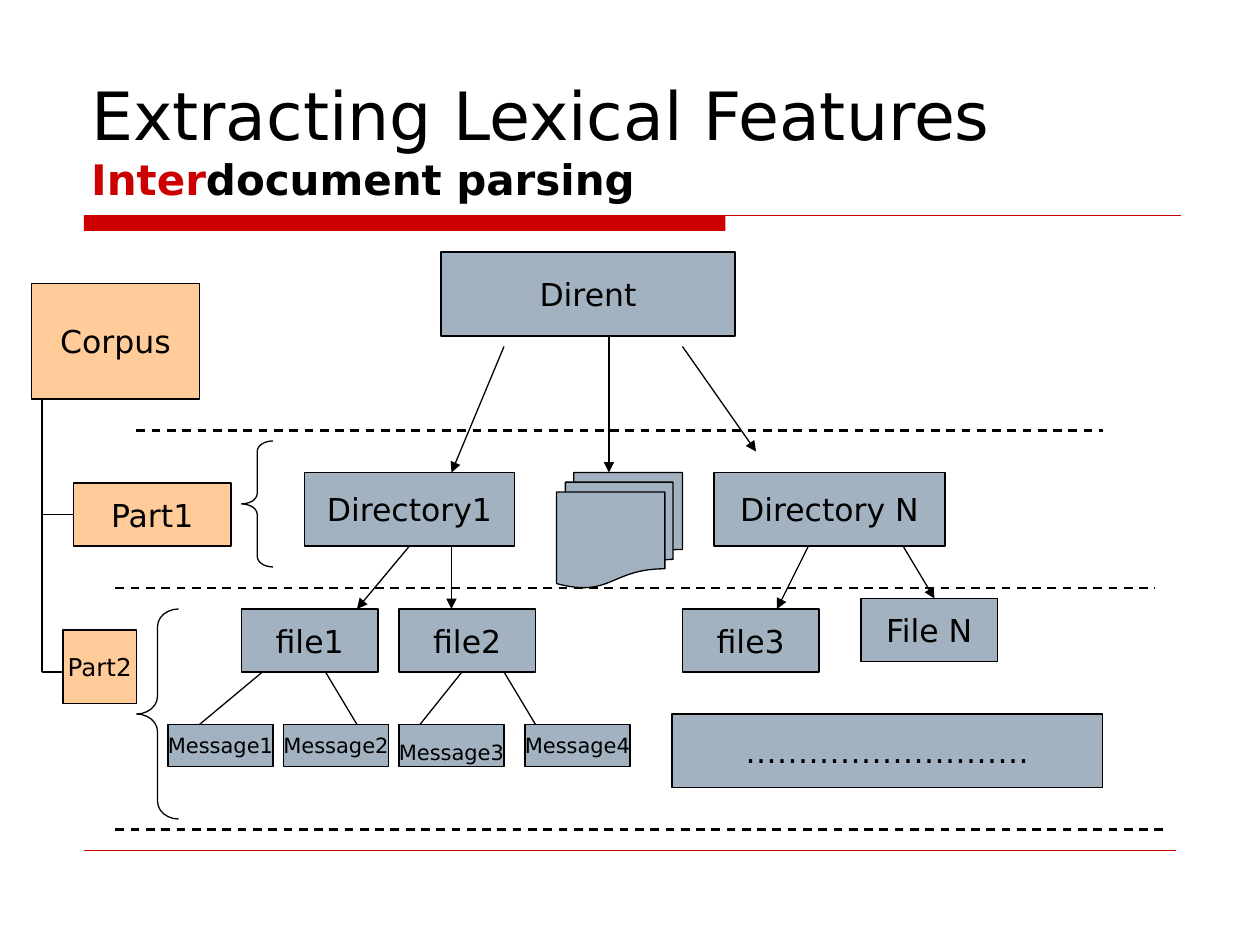
from dataclasses import dataclass

from lxml import etree
from pptx import Presentation
from pptx import util as u
from pptx.dml.color import RGBColor
from pptx.enum import dml, shapes, text
from pptx.oxml.ns import qn

FONT = "DejaVu Sans"
BLACK, RED, STEEL, PEACH = "000000", "CC0000", "A3B2C1", "FFCC99"


def color(code):
    return RGBColor.from_string(code)


def grid(steps):
    """The slide is laid out on a grid of twelfths of an inch."""
    return u.Inches(steps / 12)


@dataclass
class Region:
    """Draws on a page relative to a corner; all numbers are grid steps."""
    page: object
    left: float
    top: float

    def place(self, x, y):
        return grid(self.left + x), grid(self.top + y)

    def shape(self, kind, x, y, width, height, fill=None, line=BLACK):
        shape = self.page.shapes.add_shape(
            kind, *self.place(x, y), grid(width), grid(height))
        shape.shadow.inherit = False
        if fill:
            shape.fill.solid()
            shape.fill.fore_color.rgb = color(fill)
        else:
            shape.fill.background()
        if line:
            shape.line.color.rgb = color(line)
            shape.line.width = u.Pt(0.75)
        else:
            shape.line.fill.background()
        return shape

    def box(self, label, x, y, width, height, fill=STEEL, size=18):
        box = self.shape(shapes.MSO_SHAPE.RECTANGLE, x, y, width, height, fill)
        frame = box.text_frame
        frame.word_wrap = False
        frame.vertical_anchor = text.MSO_ANCHOR.MIDDLE
        para = frame.paragraphs[0]
        para.text = label
        para.alignment = text.PP_ALIGN.CENTER
        para.font.name = FONT
        para.font.size = u.Pt(size)
        para.font.color.rgb = color(BLACK)
        return box

    def line(self, start, end, stroke=BLACK, width=0.75, arrow=False):
        line = self.page.shapes.add_connector(
            shapes.MSO_CONNECTOR.STRAIGHT, *self.place(*start), *self.place(*end))
        line.line.color.rgb = color(stroke)
        line.line.width = u.Pt(width)
        if arrow:
            etree.SubElement(line.line._get_or_add_ln(), qn("a:tailEnd"), type="triangle")
        etree.SubElement(line._element.spPr, qn("a:effectLst"))
        return line

    def brace(self, x, y, width, height, curve):
        brace = self.shape(shapes.MSO_SHAPE.LEFT_BRACE, x, y, width, height)
        brace.adjustments[0] = curve


def draw_header(page, left, top):
    region = Region(page, left, top)
    region.shape(shapes.MSO_SHAPE.RECTANGLE, 0.5, 16.5, 61.1, 1.5, RED, None)
    region.line((0.5, 16.5), (105, 16.5), RED)
    title = page.shapes.add_textbox(*region.place(0, 0), grid(105), grid(16))
    frame = title.text_frame
    frame.word_wrap = True
    frame.vertical_anchor = text.MSO_ANCHOR.BOTTOM
    para = frame.paragraphs[0]
    para.font.name = FONT
    for words, size, tint, bold in (
            ("Extracting Lexical Features", 38, BLACK, False),
            ("Inter", 24, RED, True),
            ("document parsing", 24, BLACK, True)):
        span = para.add_run()
        span.text = words
        span.font.size = u.Pt(size)
        span.font.bold = bold
        span.font.color.rgb = color(tint)
        if size == 38:
            para.add_line_break()


def draw_tree(page, left, top):
    """Directories, files and messages below the root."""
    region = Region(page, left, top)
    region.box("Dirent", 26, 0, 28, 8)
    first_directory = region.box("Directory1", 13, 21, 20, 7)
    region.shape(shapes.MSO_SHAPE.FLOWCHART_MULTIDOCUMENT, 37, 21, 12, 11, STEEL)
    region.box("Directory N", 52, 21, 22, 7)
    for label, x, y in (("file1", 7, 34), ("file2", 22, 34),
                        ("file3", 49, 34), ("File N", 66, 33)):
        region.box(label, x, y, 13, 6)
    for number, x in enumerate((0, 11, 22, 34), 1):
        message = region.box(f"Message{number}", x, 45, 10, 4, size=12)
        if number == 3:  # this label sits lower in its box
            message.text_frame.margin_top = u.Inches(0.11)
            message.text_frame.margin_bottom = 0
    region.box("………………………", 48, 44, 41, 7)

    file_arrow = region.line((23, 28), (18, 34), arrow=True)
    file_arrow.begin_connect(first_directory, 2)
    for start, end in (((32, 9), (27, 21)), ((42, 8), (42, 21)), ((49, 9), (56, 19)),
                       ((27, 28), (27, 34)), ((61, 28), (58, 34)), ((70, 28), (73, 33))):
        region.line(start, end, arrow=True)
    for file_x, message_x in ((9, 3), (15, 18), (28, 24), (32, 35)):
        region.line((file_x, 40), (message_x, 45))


def draw_dividers(page, left, top):
    region = Region(page, left, top)
    for x, end, y in ((2, 94, 0), (0, 99, 15), (0, 100, 38)):
        divider = region.line((x, y), (end, y), width=1.25)
        divider.line.dash_style = dml.MSO_LINE.DASH


def draw_corpus(page, left, top):
    """The corpus, its two parts and the braces marking their levels."""
    region = Region(page, left, top)
    region.box("Corpus", 0, 0, 16, 11, PEACH)
    first_part = region.box("Part1", 4, 19, 15, 6, PEACH)
    region.box("Part2", 3, 33, 7, 7, PEACH, 14)
    region.line((1, 11), (1, 37))
    region.line((1, 22), (4, 22)).end_connect(first_part, 1)
    region.line((1, 37), (3, 37))
    region.brace(20, 15, 3, 12, 0.33)
    region.brace(10, 31, 4, 20, 0.42)


def main():
    deck = Presentation()
    deck.slide_width, deck.slide_height = u.Inches(10), u.Inches(7.5)
    page = deck.slides.add_slide(deck.slide_layouts[6])
    draw_header(page, 7.5, 4)
    Region(page, 8, 81).line((0, 0), (104, 0), RED, 0.25)
    draw_tree(page, 16, 24)
    draw_dividers(page, 11, 41)
    draw_corpus(page, 3, 27)
    deck.save("out.pptx")


if __name__ == "__main__":
    main()
